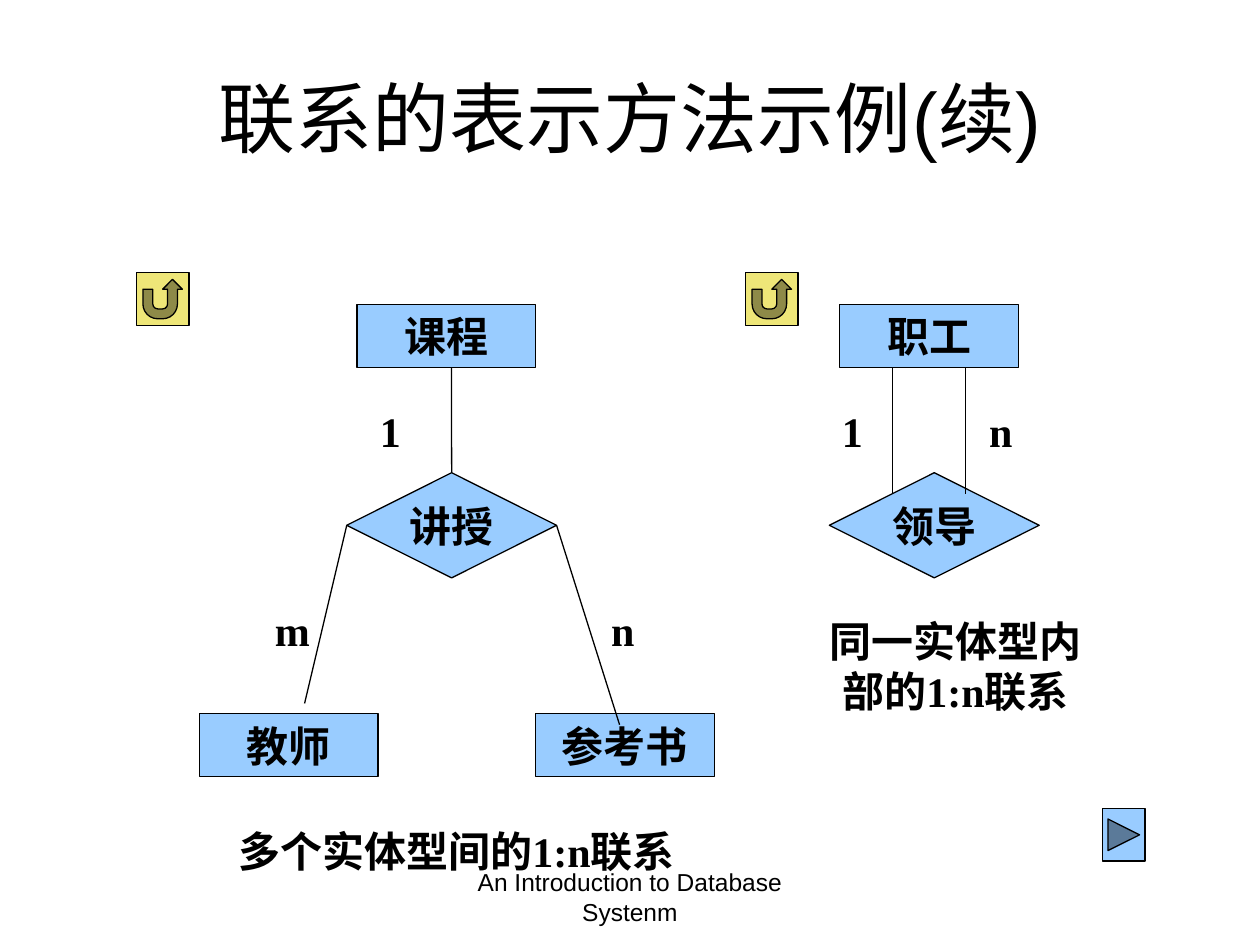
from lxml import etree
from pptx import Presentation
from pptx.dml.color import RGBColor
from pptx.enum.shapes import MSO_CONNECTOR, MSO_SHAPE
from pptx.enum.text import MSO_ANCHOR, PP_ALIGN
from pptx.oxml.ns import qn
from pptx.util import Cm, Pt

BLACK = RGBColor(0x00, 0x00, 0x00)
BLUE = RGBColor(0x99, 0xCC, 0xFF)
YELLOW = RGBColor(0xEE, 0xE6, 0x78)
RECT, DIAMOND = MSO_SHAPE.RECTANGLE, MSO_SHAPE.DIAMOND
RETURN = MSO_SHAPE.ACTION_BUTTON_RETURN
NEXT = MSO_SHAPE.ACTION_BUTTON_FORWARD_OR_NEXT
STRAIGHT = MSO_CONNECTOR.STRAIGHT
TOP, MIDDLE = MSO_ANCHOR.TOP, MSO_ANCHOR.MIDDLE
LEFT, CENTER = PP_ALIGN.LEFT, PP_ALIGN.CENTER
SERIF, SANS = "Times New Roman", "Arial"

prs = Presentation()
prs.slide_width, prs.slide_height = Cm(25.4), Cm(19.05)
s = prs.slides.add_slide(prs.slide_layouts[6])


def write(sp, text, size=24, font=SERIF, bold=True, align=CENTER, anchor=TOP, wrap=True):
    tf = sp.text_frame
    tf.word_wrap = wrap
    tf.vertical_anchor = anchor
    p = tf.paragraphs[0]
    p.alignment = align
    r = p.add_run()
    r.text = text
    r.font.size = Pt(size)
    r.font.name = font
    r.font.bold = bold
    r.font.color.rgb = BLACK


def add_block(kind, x, y, w, h, fill=BLUE):
    sp = s.shapes.add_shape(kind, Cm(x), Cm(y), Cm(w), Cm(h))
    sp.shadow.inherit = False
    sp.fill.solid()
    sp.fill.fore_color.rgb = fill
    sp.line.color.rgb = BLACK
    sp.line.width = Pt(0.75)
    return sp


sp = s.shapes.add_textbox(Cm(1.27), Cm(0.76), Cm(22.86), Cm(3.18))
write(sp, "联系的表示方法示例(续)", 44, SANS, False, anchor=MIDDLE)

for text, x, y in [
    ("职工", 16.93, 6.14),
    ("课程", 7.2, 6.14),
    ("教师", 4.02, 14.39),
    ("参考书", 10.8, 14.39),
]:
    write(add_block(RECT, x, y, 3.6, 1.27), text)

diamonds = {}
for text, x in [("领导", 16.72), ("讲授", 6.99)]:
    diamonds[text] = add_block(DIAMOND, x, 9.53, 4.23, 2.12)
    write(diamonds[text], text, anchor=MIDDLE, wrap=False)

for x1, y1, x2, y2, site in [
    (17.99, 9.95, 17.99, 7.41, None),
    (19.47, 7.41, 19.47, 9.95, None),
    (9.1, 9.53, 9.1, 7.41, 0),
    (6.99, 10.58, 6.14, 14.18, 1),
    (11.22, 10.58, 12.49, 14.61, 3),
]:
    line = s.shapes.add_connector(STRAIGHT, Cm(x1), Cm(y1), Cm(x2), Cm(y2))
    line.line.color.rgb = BLACK
    line.line.width = Pt(0.75)
    etree.SubElement(line._element.spPr, qn("a:effectLst"))
    if site is not None:
        line.begin_connect(diamonds["讲授"], site)

for text, x, y in [
    ("1", 16.72, 8.05),
    ("n", 19.69, 8.05),
    ("1", 7.41, 8.05),
    ("m", 5.29, 12.07),
    ("n", 12.07, 12.07),
]:
    sp = s.shapes.add_textbox(Cm(x), Cm(y), Cm(1.06), Cm(1.27))
    write(sp, text, align=LEFT)

for text, x, y, w, h in [
    ("同一实体型内部的1:n联系", 16.09, 12.28, 6.35, 2.29),
    ("多个实体型间的1:n联系", 4.02, 16.51, 10.37, 1.27),
]:
    sp = s.shapes.add_textbox(Cm(x), Cm(y), Cm(w), Cm(h))
    write(sp, text)

for x in (15.03, 2.75):
    add_block(RETURN, x, 5.5, 1.06, 1.06, YELLOW)
add_block(NEXT, 22.23, 16.3, 0.85, 1.06)

sp = s.shapes.add_textbox(Cm(8.68), Cm(17.36), Cm(8.04), Cm(1.32))
write(sp, "An Introduction to Database Systenm", 14, SANS, False)

prs.save("out.pptx")
